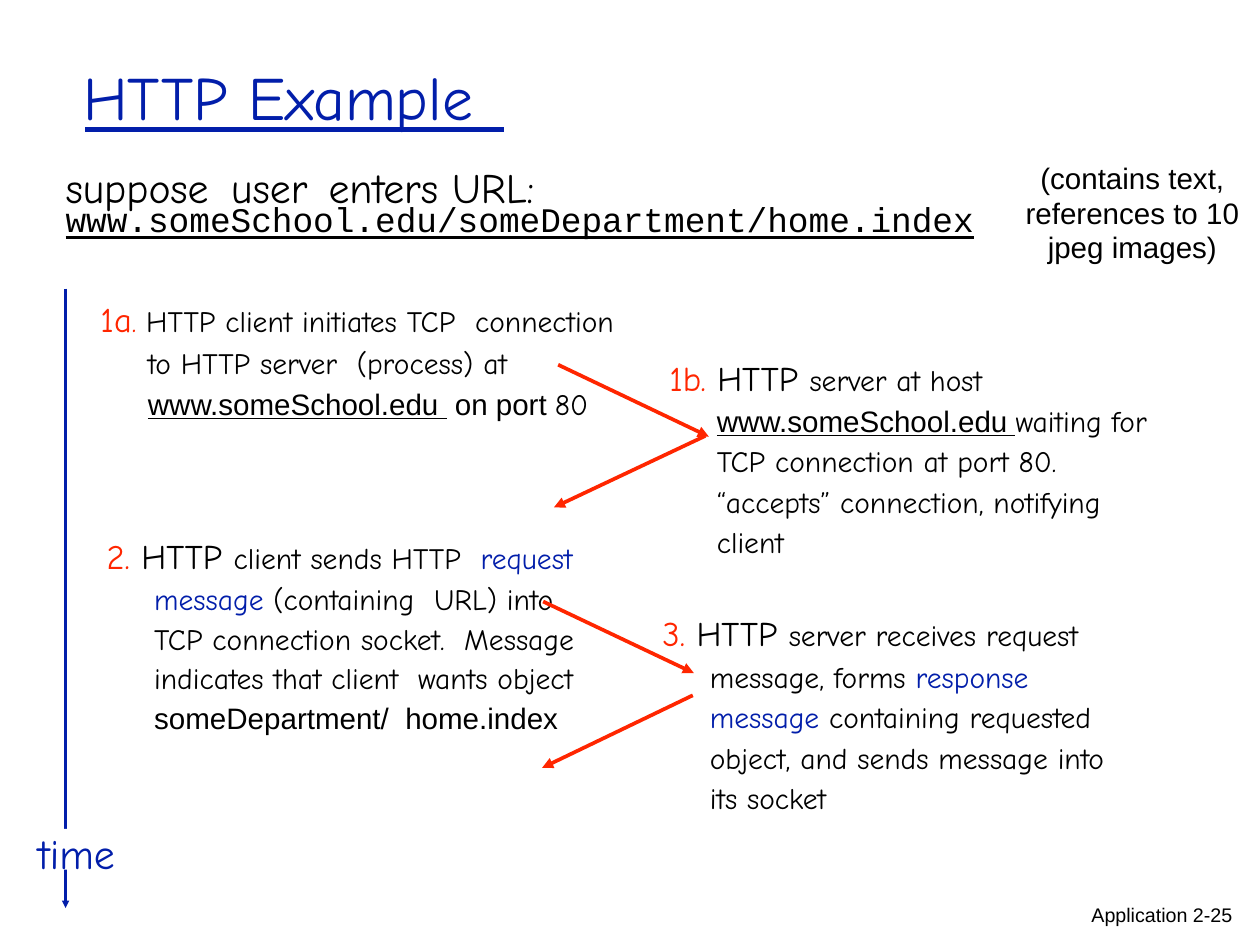
from lxml import etree
from pptx import Presentation
from pptx.dml.color import RGBColor
from pptx.enum import shapes, text
from pptx.oxml.ns import qn
from pptx.util import Cm, Pt

BLUE = RGBColor(0x02, 0x1E, 0xAA)
RED = RGBColor(0xFF, 0x26, 0x00)
BLACK = RGBColor(0, 0, 0)
WHITE = RGBColor(0xFF, 0xFF, 0xFF)

BODY = dict(name="Comic Neue", size=Pt(24), color=BLACK, underline=False)
LARGE = BODY | dict(size=Pt(28))
STEP = LARGE | dict(color=RED)
KEYWORD = BODY | dict(color=BLUE)
PLAIN = BODY | dict(name="Arial")
HOST = PLAIN | dict(underline=True)
TITLE = BODY | dict(size=Pt(50), color=BLUE)
INTRO = BODY | dict(size=Pt(34))
TIME = INTRO | dict(color=BLUE)
URL = LARGE | dict(name="Courier New", underline=True)
FOOTER = PLAIN | dict(size=Pt(16))


def fill_text(box, place, spans, top=0, **para_format):
    box.left, box.top, box.width, box.height = map(Cm, place)
    frame = box.text_frame
    frame_format = dict(word_wrap=True, auto_size=text.MSO_AUTO_SIZE.NONE,
                        vertical_anchor=text.MSO_ANCHOR.TOP, margin_left=0,
                        margin_right=0, margin_top=Cm(top), margin_bottom=0)
    for key, value in frame_format.items():
        setattr(frame, key, value)
    para = frame.paragraphs[0]
    for key, value in (dict(alignment=text.PP_ALIGN.LEFT) | para_format).items():
        setattr(para, key, value)
    for words, style in spans:
        span = para.add_run()
        span.text = words
        for key, value in style.items():
            if key == "color":
                span.font.color.rgb = value
            else:
                setattr(span.font, key, value)
    return para


def add_line(ends, color, width, arrow=True):
    line = page.shapes.add_connector(shapes.MSO_CONNECTOR.STRAIGHT, *map(Cm, ends))
    line.line.color.rgb = color
    line.line.width = Pt(width)
    if arrow:
        etree.SubElement(line.line._get_or_add_ln(), qn("a:tailEnd"), type="triangle")
    etree.SubElement(line._element.spPr, qn("a:effectLst"))


deck = Presentation()
deck.slide_width, deck.slide_height = Cm(36.12), Cm(27.1)
page = deck.slides.add_slide(deck.slide_layouts[5])

add_line((1.88, 8.28, 1.88, 26.04), BLUE, 2)
time_gap = page.shapes.add_shape(shapes.MSO_SHAPE.RECTANGLE,
                                 Cm(0.94), Cm(23.77), Cm(2.59), Cm(1.17))
time_gap.shadow.inherit = False
time_gap.fill.solid()
time_gap.fill.fore_color.rgb = WHITE
time_gap.line.fill.background()

fill_text(page.shapes.title, (2.39, 1.65, 12.09, 2.18), [("HTTP Example", TITLE)],
          top=0.03, space_before=Pt(1))
add_line((2.44, 3.71, 14.45, 3.71), BLUE, 4.27, arrow=False)

steps = [
    ((2.84, 8.33, 15.1, 4.98), 1.15, [
        ("1a", STEP), (". ", BODY | dict(color=RED)),
        ("HTTP client initiates TCP  connection to HTTP server  (process) at ", BODY),
        ("www.someSchool.edu ", HOST), (" on port ", PLAIN), ("80", BODY)]),
    ((3.02, 15.16, 14, 7.16), 1.12, [
        ("2. ", STEP), ("HTTP ", LARGE), ("client sends HTTP ", BODY),
        (" request message ", KEYWORD),
        ("(containing  URL) into TCP connection socket.  Message indicates "
         "that client  wants object ", BODY),
        ("someDepartment/  home.index", PLAIN)]),
    ((19.15, 10.01, 14.12, 6.1), 1.14, [
        ("1b. ", STEP), ("HTTP ", LARGE), ("server at host ", BODY),
        ("www.someSchool.edu ", HOST),
        ("waiting for TCP connection at port 80. “accepts” connection, "
         "notifying client", BODY)]),
    ((18.95, 17.35, 13.3, 6.1), 1.14, [
        ("3. ", STEP), ("HTTP ", LARGE), ("server receives request message, forms ", BODY),
        ("response message ", KEYWORD),
        ("containing requested object, and sends message into its socket", BODY)]),
]
for place, spacing, spans in steps:
    para = fill_text(page.shapes.add_textbox(0, 0, 0, 0), place, spans, top=0.05,
                     line_spacing=spacing, space_before=Pt(1.4))
    indents = para._p.get_or_add_pPr()
    indents.set("marL", str(Cm(1.4)))
    indents.set("indent", str(Cm(-1.36)))

for ends in [(16, 10.46, 20.32, 12.52), (20.22, 12.5, 15.88, 14.55),
             (15.57, 17.25, 19.89, 19.3), (19.86, 19.94, 15.54, 22.02)]:
    add_line(ends, RED, 3)

intro = fill_text(page.shapes.add_textbox(0, 0, 0, 0), (1.88, 4.62, 14.5, 1.5),
                  [("suppose\tuser\tenters URL:", INTRO)], top=0.03, space_before=Pt(1))
tabs = etree.SubElement(intro._p.get_or_add_pPr(), qn("a:tabLst"))
for stop in (4.75, 7.54):
    etree.SubElement(tabs, qn("a:tab"), pos=str(Cm(stop)), algn="l")

labels = [
    ((1.88, 5.64, 27, 1.24), "www.someSchool.edu/someDepartment/home.index", URL, 0.03,
     dict(space_before=Pt(1))),
    ((29.31, 4.52, 6.3, 3.07), "(contains text, references to 10 jpeg images)", PLAIN, 0.1,
     dict(alignment=text.PP_ALIGN.CENTER, line_spacing=Pt(28), space_before=Pt(2.6))),
    ((1.09, 23.6, 2.57, 1.75), "time", TIME, 0.15, dict(space_before=Pt(4.5))),
    ((31.29, 25.91, 4.4, 0.71), "Application 2-25", FOOTER, 0, dict(line_spacing=Pt(18.7))),
]
for place, words, style, top, para_format in labels:
    fill_text(page.shapes.add_textbox(0, 0, 0, 0), place, [(words, style)], top, **para_format)

deck.save("out.pptx")
